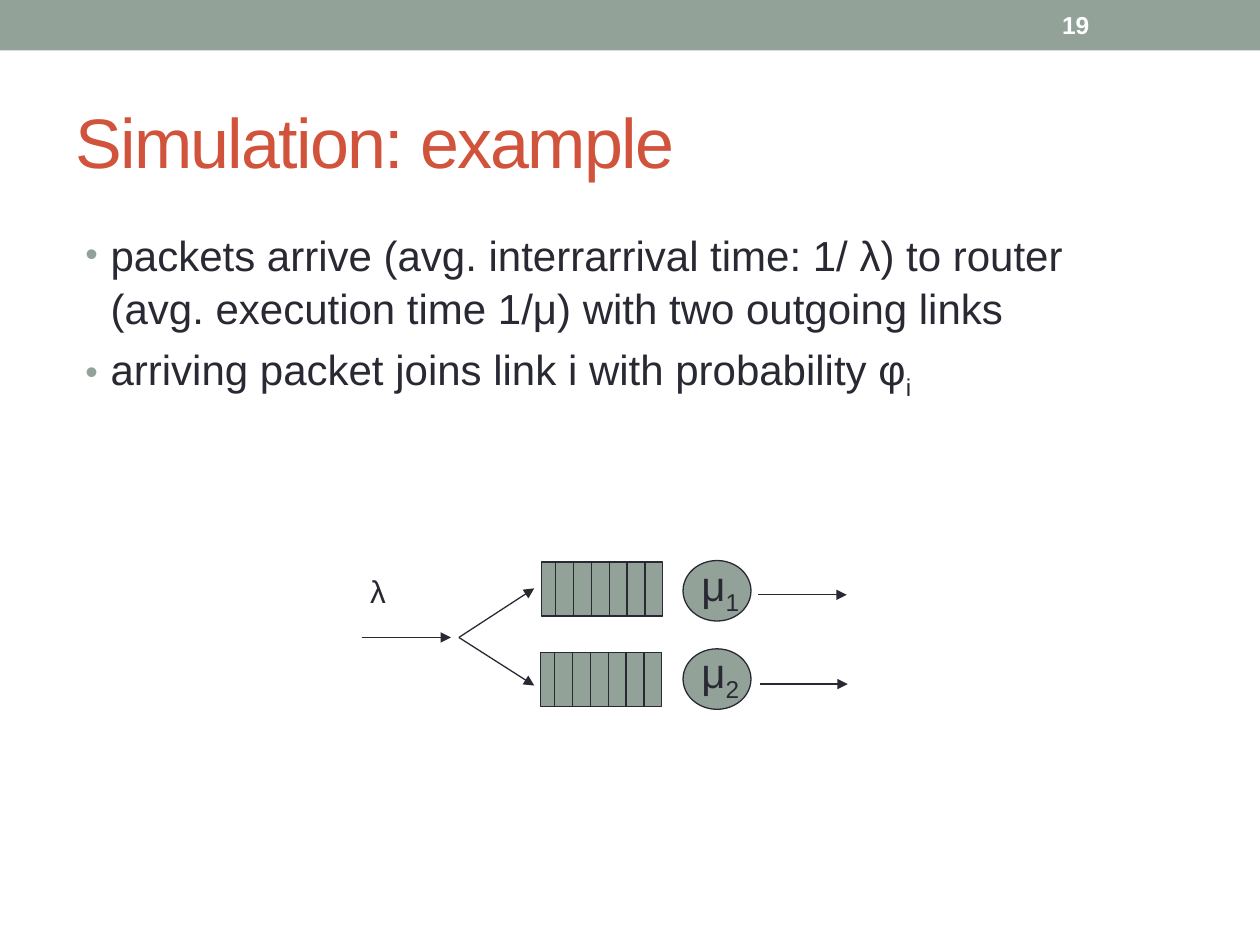
"""Build a slide on simulating a router with two outgoing links."""
from lxml import etree
from pptx import Presentation
from pptx.dml.color import RGBColor
from pptx.enum import shapes, text
from pptx.oxml import ns
from pptx.util import Cm, Pt

SAGE = RGBColor(0x93, 0xA2, 0x99)
INK = RGBColor(0x29, 0x29, 0x34)
RUST = RGBColor(0xD2, 0x53, 0x3C)
WHITE = RGBColor(0xFF, 0xFF, 0xFF)

TITLE = "Simulation: example"
BULLETS = [
    [("packets arrive (avg. interrarrival time: 1/ λ) to router "
      "(avg. execution time 1/μ) with two outgoing links", False)],
    [("arriving packet joins link i with probability φ", False), ("i", True)],
]
LINKS = [
    {"index": "1", "queue": (10.92, 11.33), "server": 11.3, "label": 11.15},
    {"index": "2", "queue": (10.9, 13.16), "server": 13.08, "label": 12.9},
]
FORK = (9.25, 12.85)
ARROWS = [
    (FORK, (10.77, 11.86)),
    (FORK, (10.77, 13.82)),
    ((7.29, 12.85), (9.09, 12.85)),
    ((15.29, 11.99), (17.07, 11.99)),
    ((15.32, 13.79), (17.09, 13.79)),
]
QUEUE_SIZE = (2.44, 1.09)
DIVIDERS, FIRST_DIVIDER, DIVIDER_STEP = 6, 0.28, 0.36


def add_child(parent, tag, **attributes):
    return etree.SubElement(parent, ns.qn(tag), attributes)


def add_filled(parent, kind, left, top, width, height, outlined=True):
    shape = parent.add_shape(kind, Cm(left), Cm(top), Cm(width), Cm(height))
    shape.shadow.inherit = False
    shape.fill.solid()
    shape.fill.fore_color.rgb = SAGE
    if outlined:
        shape.line.color.rgb = INK
        shape.line.width = Pt(0.75)
    else:
        shape.line.fill.background()


def add_line(parent, start, end, arrow=False):
    line = parent.add_connector(
        shapes.MSO_CONNECTOR.STRAIGHT, *(Cm(value) for value in (*start, *end)))
    line.line.color.rgb = INK
    line.line.width = Pt(0.75)
    properties = line.line._get_or_add_ln()
    if arrow:
        add_child(properties, "a:tailEnd", type="triangle")
    add_child(properties.getparent(), "a:effectLst")


def style(para, size, color, bold=False):
    font = para.font
    font.name, font.size, font.bold = "Arial", Pt(size), bold
    font.color.rgb = color


def fill_para(para, spans, size, color, bold=False):
    style(para, size, color, bold)
    for words, lowered in spans:
        span = para.add_run()
        span.text = words
        if lowered:
            span.font._element.set("baseline", "-25000")


def add_box(slide, left, top, width, height, wrap=True):
    box = slide.shapes.add_textbox(Cm(left), Cm(top), Cm(width), Cm(height))
    box.text_frame.word_wrap = wrap
    return box.text_frame


def add_label(slide, spans, place, size):
    frame = add_box(slide, *place, wrap=False)
    frame.auto_size = text.MSO_AUTO_SIZE.SHAPE_TO_FIT_TEXT
    fill_para(frame.paragraphs[0], spans, size, INK)


def add_title(slide):
    title = slide.shapes.title
    title.left, title.top, title.width, title.height = (
        Cm(1.27), Cm(1.47), Cm(22.86), Cm(2.74))
    frame = title.text_frame
    frame.text = TITLE
    frame.vertical_anchor = text.MSO_ANCHOR.MIDDLE
    para = frame.paragraphs[0]
    para.alignment = text.PP_ALIGN.LEFT
    style(para, 40, RUST)
    para.runs[0].font._element.set("spc", "-100")


def add_bullets(slide):
    frame = add_box(slide, 1.47, 4.45, 21.59, 4.57)
    for number, spans in enumerate(BULLETS):
        para = frame.add_paragraph() if number else frame.paragraphs[0]
        para.space_before = Pt(4.8)
        para.line_spacing = 1.05
        fill_para(para, spans, 24, INK)
        properties = para._p.get_or_add_pPr()
        properties.set("marL", str(Cm(0.51)))
        properties.set("indent", str(Cm(-0.51)))
        color = etree.Element(ns.qn("a:buClr"))
        add_child(color, "a:srgbClr", val=str(SAGE))
        size = etree.Element(ns.qn("a:buSzPct"), val="85000")
        face = etree.Element(ns.qn("a:buFont"), typeface="Arial")
        mark = etree.Element(ns.qn("a:buChar"), char="•")
        defaults = properties.find(ns.qn("a:defRPr"))
        for element in (color, size, face, mark):
            defaults.addprevious(element)


def add_queue(slide, left, top):
    group = slide.shapes.add_group_shape().shapes
    width, height = QUEUE_SIZE
    add_filled(group, shapes.MSO_SHAPE.RECTANGLE, left, top, width, height)
    for number in range(DIVIDERS):
        x = left + FIRST_DIVIDER + number * DIVIDER_STEP
        add_line(group, (x, top), (x, top + height))


def main():
    deck = Presentation()
    deck.slide_width, deck.slide_height = Cm(25.4), Cm(19.05)
    slide = deck.slides.add_slide(deck.slide_layouts[5])
    add_filled(slide.shapes, shapes.MSO_SHAPE.RECTANGLE, 0, 0, 25.4, 1.02, False)
    add_title(slide)
    add_bullets(slide)
    for link in LINKS:
        add_queue(slide, *link["queue"])
    for link in LINKS:
        add_filled(slide.shapes, shapes.MSO_SHAPE.OVAL, 13.77, link["server"], 1.37, 1.22)
        add_label(slide, [("μ", False), (link["index"], True)],
                  (13.89, link["label"], 1.3, 1.27), 24)
    for start, end in ARROWS:
        add_line(slide.shapes, start, end, arrow=True)
    add_label(slide, [("λ", False)], (7.21, 11.4, 1.04, 1.45), 18)
    number = add_box(slide, 21.16, 0.05, 2.97, 0.91)
    number.vertical_anchor = text.MSO_ANCHOR.MIDDLE
    fill_para(number.paragraphs[0], [("19", False)], 14, WHITE, True)
    deck.save("out.pptx")


if __name__ == "__main__":
    main()
